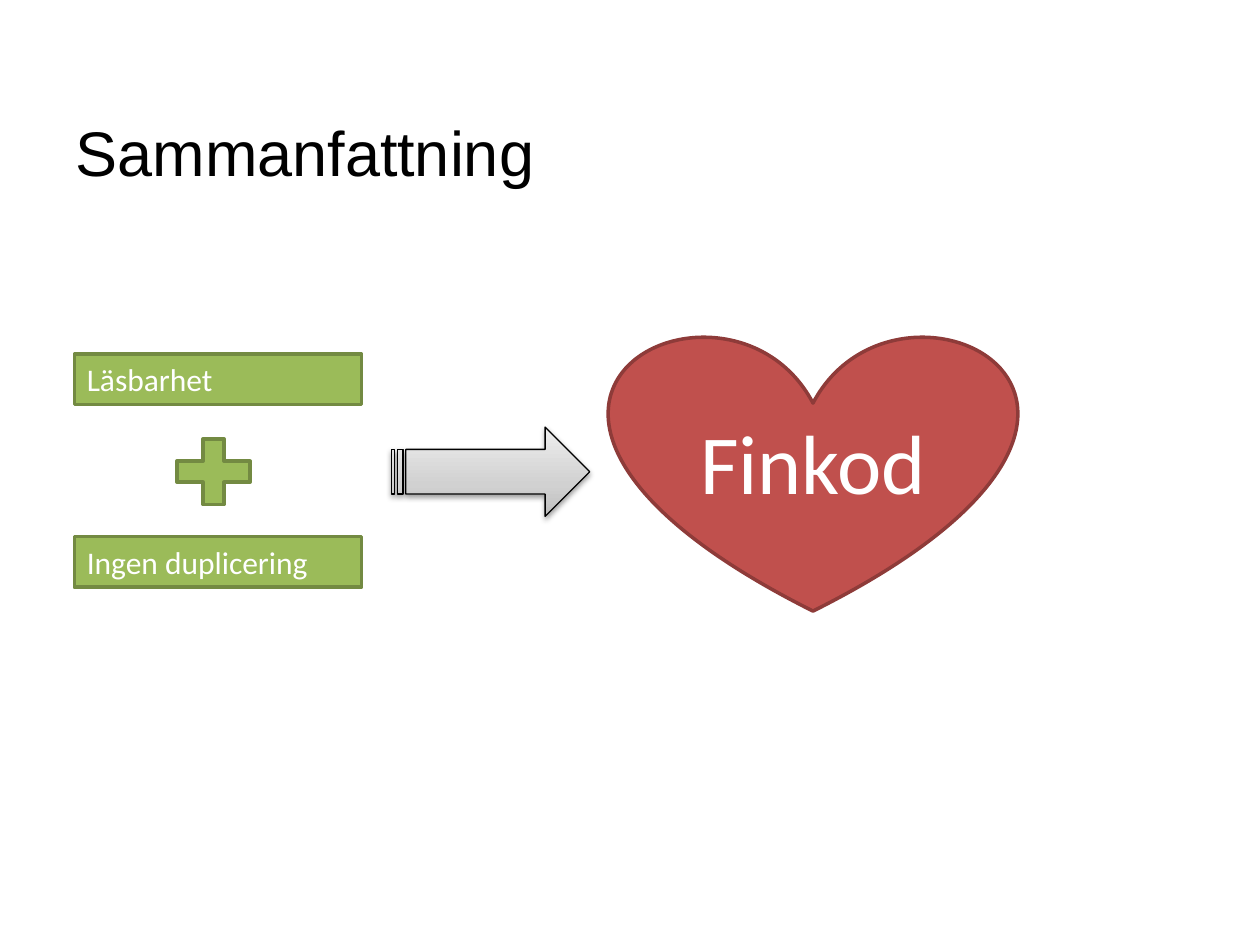
"""Build the summary slide: two code qualities add up to fine code."""
from copy import deepcopy

from lxml import etree
from pptx import Presentation
from pptx import util as u
from pptx.dml.color import RGBColor
from pptx.enum import shapes, text
from pptx.oxml import ns

BLACK = RGBColor(0x00, 0x00, 0x00)
WHITE = RGBColor(0xFF, 0xFF, 0xFF)
GREEN = RGBColor(0x9B, 0xBB, 0x59)
DARK_GREEN = RGBColor(0x73, 0x8A, 0x42)
RED = RGBColor(0xC0, 0x50, 0x4D)
DARK_RED = RGBColor(0x8E, 0x3B, 0x39)
ARROW_STOPS = [
    (0, RGBColor(0xBD, 0xBD, 0xBD)),
    (0.35, RGBColor(0xD1, 0xD1, 0xD1)),
    (1, RGBColor(0xEE, 0xEE, 0xEE)),
]

HEADING = "Sammanfattning"
QUALITIES = ["Läsbarhet", "Ingen duplicering"]
RESULT = "Finkod"

QUALITY_TOP, QUALITY_STEP = 7.14, 3.68
SYMBOL_TOP, SYMBOL_HEIGHT = 8.61, 1.8


def write(shape, words, size, font="Calibri", color=WHITE,
          align=text.PP_ALIGN.LEFT, anchor=text.MSO_ANCHOR.MIDDLE):
    frame = shape.text_frame
    frame.word_wrap = True
    frame.vertical_anchor = anchor
    paragraph = frame.paragraphs[0]
    paragraph.alignment = align
    run = paragraph.add_run()
    run.text = words
    run.font.size = u.Pt(size)
    run.font.name = font
    run.font.color.rgb = color


def add_figure(slide, kind, box, outline, fill=None, weight=2):
    figure = slide.shapes.add_shape(kind, *map(u.Cm, box))
    figure.shadow.inherit = False
    figure.line.color.rgb = outline
    figure.line.width = u.Pt(weight)
    if fill is not None:
        figure.fill.solid()
        figure.fill.fore_color.rgb = fill
    return figure


def shade(arrow):
    arrow.fill.gradient()
    arrow.fill.gradient_angle = 90
    stop_list = arrow._element.spPr.find(".//" + ns.qn("a:gsLst"))
    stop_list.append(deepcopy(stop_list[-1]))
    for stop, (position, color) in zip(arrow.fill.gradient_stops, ARROW_STOPS):
        stop.position = position
        stop.color.rgb = color


def cast_shadow(arrow):
    effects = arrow._element.spPr.find(ns.qn("a:effectLst"))
    shadow = etree.SubElement(effects, ns.qn("a:outerShdw"), blurRad="40000",
                              dist="20000", dir="5400000", rotWithShape="0")
    color = etree.SubElement(shadow, ns.qn("a:srgbClr"), val=str(BLACK))
    etree.SubElement(color, ns.qn("a:alpha"), val="38000")


def main():
    deck = Presentation()
    deck.slide_width, deck.slide_height = u.Cm(25.4), u.Cm(19.05)
    slide = deck.slides.add_slide(deck.slide_layouts[5])
    kinds = shapes.MSO_SHAPE

    heading = slide.shapes.title
    heading.left, heading.top = u.Cm(1.27), u.Cm(1.47)
    heading.width, heading.height = u.Cm(22.86), u.Cm(3.18)
    write(heading, HEADING, 36, font="Arial", color=BLACK)

    for row, words in enumerate(QUALITIES):
        box = (1.5, QUALITY_TOP + row * QUALITY_STEP, 5.79, 1.02)
        quality = add_figure(slide, kinds.RECTANGLE, box, DARK_GREEN, GREEN)
        write(quality, words, 18, anchor=text.MSO_ANCHOR.TOP)
        quality.text_frame.auto_size = text.MSO_AUTO_SIZE.SHAPE_TO_FIT_TEXT

    heart = add_figure(slide, kinds.HEART, (12.29, 6.73, 8.2, 5.59), DARK_RED, RED)
    write(heart, RESULT, 48, align=text.PP_ALIGN.CENTER)

    add_figure(slide, kinds.MATH_PLUS, (3.3, SYMBOL_TOP, 2.01, SYMBOL_HEIGHT),
               DARK_GREEN, GREEN)
    arrow = add_figure(slide, kinds.STRIPED_RIGHT_ARROW,
                       (7.9, SYMBOL_TOP, 3.99, SYMBOL_HEIGHT), BLACK, weight=0.75)
    shade(arrow)
    cast_shadow(arrow)

    deck.save("out.pptx")


if __name__ == "__main__":
    main()
